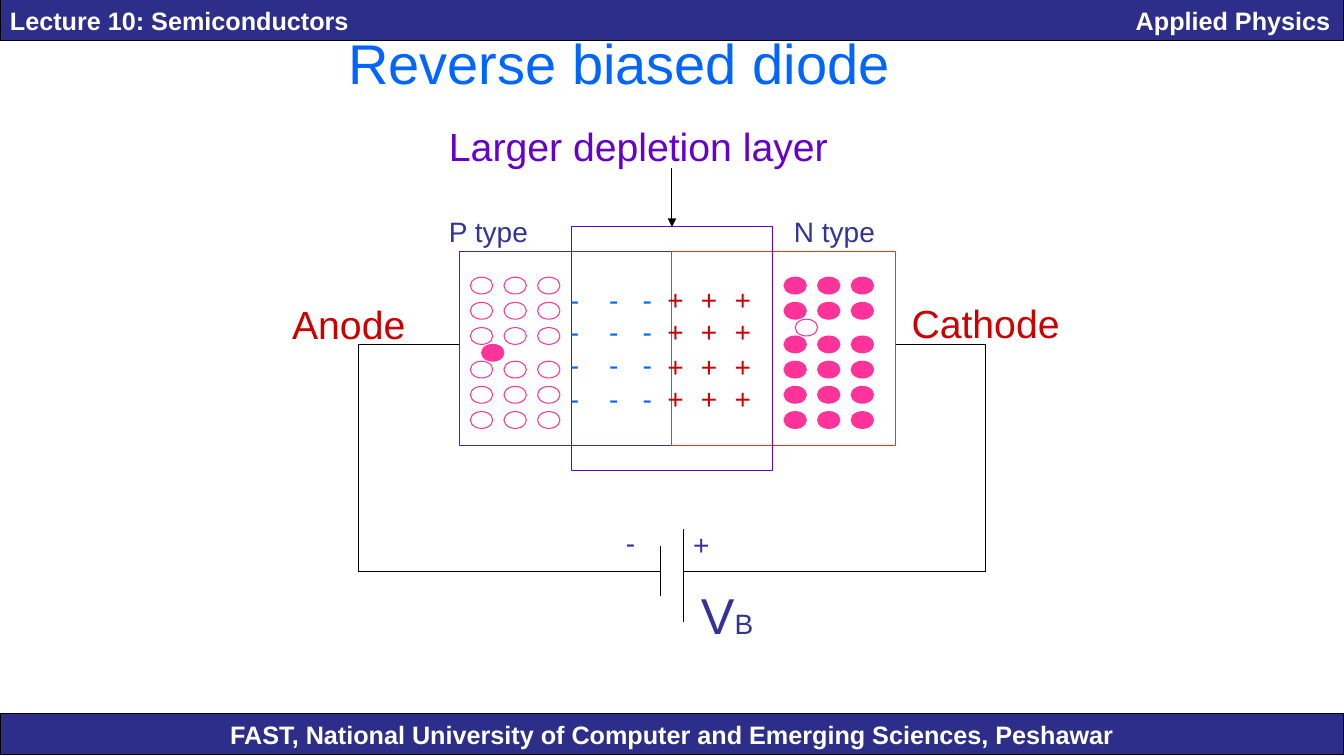
from itertools import product
from typing import NamedTuple

from lxml import etree
from pptx import Presentation
from pptx.dml.color import RGBColor
from pptx.enum.shapes import MSO_CONNECTOR, MSO_SHAPE
from pptx.enum.text import MSO_ANCHOR, MSO_AUTO_SIZE, PP_ALIGN
from pptx.oxml.ns import qn
from pptx.util import Emu, Inches, Pt

RECT, OVAL = MSO_SHAPE.RECTANGLE, MSO_SHAPE.OVAL
STRAIGHT = MSO_CONNECTOR.STRAIGHT
TOP, MIDDLE = MSO_ANCHOR.TOP, MSO_ANCHOR.MIDDLE
LEFT, CENTER = PP_ALIGN.LEFT, PP_ALIGN.CENTER
FIXED = MSO_AUTO_SIZE.NONE

BLACK = RGBColor(0x00, 0x00, 0x00)
WHITE = RGBColor(0xFF, 0xFF, 0xFF)
NAVY = RGBColor(0x2D, 0x2D, 0x8A)
INDIGO = RGBColor(0x33, 0x33, 0x99)
BLUE = RGBColor(0x00, 0x66, 0xFF)
PURPLE = RGBColor(0x66, 0x00, 0xCC)
RED = RGBColor(0xCC, 0x00, 0x00)
ORANGE = RGBColor(0xFF, 0x33, 0x00)
PINK = RGBColor(0xFF, 0x33, 0x99)

# The slide is a grid of 120 columns by 90 rows
COL, ROW = Inches(1) // 9, Inches(1) // 12
COLS, ROWS = 120, 90
THIN = Pt(0.75)


class Box(NamedTuple):
    x: float
    y: float
    w: float
    h: float


class Label(NamedTuple):
    text: str
    box: Box
    size: int
    color: RGBColor


class Wire(NamedTuple):
    x1: float
    y1: float
    x2: float
    y2: float
    arrow: bool = False


class Dots(NamedTuple):
    cols: tuple
    rows: tuple
    fill: RGBColor | None


class Signs(NamedTuple):
    text: str
    cols: tuple
    rows: tuple
    width: float
    color: RGBColor


TITLE = Label("Reverse biased diode", Box(30.2, 2.8, 56, 9.2), 40, BLUE)
LABELS = (
    Label("P type", Box(39.2, 25, 8.9, 5.3), 20, INDIGO),
    Label("N type", Box(70, 25, 9, 5.3), 20, INDIGO),
    Label("+", Box(61, 62.2, 3.2, 5.3), 20, INDIGO),
    Label("-", Box(55, 62, 2.6, 5.3), 20, INDIGO),
    Label("Larger depletion layer", Box(39.2, 14, 36.5, 6.8), 28, PURPLE),
    Label("Anode", Box(25.2, 35.2, 11.9, 6.8), 28, RED),
    Label("Cathode", Box(80.5, 35, 15, 6.8), 28, RED),
)
VOLTAGE = Label("V", Box(61.7, 69, 6.5, 8.4), 36, INDIGO)
REGIONS = (
    (Box(41, 30, 19, 23), INDIGO),
    (Box(60, 30, 20, 23), ORANGE),
    (Box(51, 27, 18, 29), PURPLE),
)
WIRES = (
    Wire(41, 41, 32, 41),
    Wire(32, 41, 32, 68),
    Wire(32, 68, 59, 68),
    Wire(59, 65, 59, 71),
    Wire(61, 63, 61, 74),
    Wire(61, 68, 88, 68),
    Wire(88, 41, 88, 68),
    Wire(80, 41, 88, 41),
    Wire(60, 20, 60, 27, arrow=True),
)
SIGNS = (
    Signs("+", (58.7, 61.7, 64.7), (33, 36.8, 41, 44.8), 3.2, RED),
    Signs("-", (50, 53.5, 56.5), (33, 36.8, 40.8, 44.8), 2.6, BLUE),
)
DOTS = (
    Dots((42, 45, 48), (33, 36, 39, 43, 46, 49), None),
    Dots((43,), (41,), PINK),
    Dots((70, 73, 76), (33, 36, 40, 43, 46, 49), PINK),
    Dots((71,), (38,), None),
)


def place(box: Box) -> tuple[Emu, ...]:
    """Turn grid units into left, top, width and height."""
    return tuple(Emu(round(n * unit)) for n, unit in zip(box, (COL, ROW, COL, ROW)))


def write(par, text: str, *, size: int, color: RGBColor, bold: bool = False, align=LEFT) -> None:
    """Add one formatted run to a paragraph."""
    par.alignment = align
    run = par.add_run()
    run.text = text
    font = run.font
    font.name, font.size, font.bold = "Arial", Pt(size), bold
    font.color.rgb = color


def fill_label(shape, label: Label):
    frame = shape.text_frame
    frame.word_wrap = False
    frame.auto_size = FIXED
    frame.vertical_anchor = TOP
    par = frame.paragraphs[0]
    write(par, label.text, size=label.size, color=label.color)
    return par


def add_label(slide, label: Label):
    return fill_label(slide.shapes.add_textbox(*place(label.box)), label)


def add_shape(slide, kind, box: Box, line: RGBColor, fill: RGBColor | None = None):
    shape = slide.shapes.add_shape(kind, *place(box))
    shape.shadow.inherit = False
    shape.line.color.rgb = line
    shape.line.width = THIN
    if fill is None:
        shape.fill.background()
    else:
        shape.fill.solid()
        shape.fill.fore_color.rgb = fill
    return shape


def add_bar(slide, y: float, text: str, align=LEFT) -> None:
    bar = add_shape(slide, RECT, Box(0, y, COLS, 4.8), BLACK, NAVY)
    frame = bar.text_frame
    frame.vertical_anchor = MIDDLE
    par = frame.paragraphs[0]
    if "\t" in text:
        tabs = etree.SubElement(par._p.get_or_add_pPr(), qn("a:tabLst"))
        etree.SubElement(tabs, qn("a:tab"), pos=str(Inches(13.1)), algn="r")
    write(par, text, size=18, color=WHITE, bold=True, align=align)


def add_wire(slide, wire: Wire) -> None:
    ends = place(Box(*wire[:4]))
    link = slide.shapes.add_connector(STRAIGHT, *ends)
    link.line.color.rgb = BLACK
    link.line.width = THIN
    if wire.arrow:
        etree.SubElement(link.line._get_or_add_ln(), qn("a:tailEnd"), type="triangle")
    etree.SubElement(link._element.spPr, qn("a:effectLst"))


def main() -> None:
    deck = Presentation()
    deck.slide_width, deck.slide_height = COLS * COL, ROWS * ROW
    slide = deck.slides.add_slide(deck.slide_layouts[5])

    title = slide.shapes.title
    title.left, title.top, title.width, title.height = place(TITLE.box)
    fill_label(title, TITLE)
    add_bar(slide, 85, "FAST, National University of Computer and Emerging Sciences, Peshawar", CENTER)
    add_bar(slide, 0, "Lecture 10: Semiconductors\tApplied Physics")

    for box, line in REGIONS:
        add_shape(slide, RECT, box, line)
    for wire in WIRES:
        add_wire(slide, wire)
    for label in LABELS:
        add_label(slide, label)
    write(add_label(slide, VOLTAGE), "B", size=20, color=INDIGO)

    for sign in SIGNS:
        for x, y in product(sign.cols, sign.rows):
            add_label(slide, Label(sign.text, Box(x, y, sign.width, 5.3), 20, sign.color))
    for dots in DOTS:
        for x, y in product(dots.cols, dots.rows):
            add_shape(slide, OVAL, Box(x, y, 2, 2), PINK, dots.fill)

    deck.save("out.pptx")


if __name__ == "__main__":
    main()
